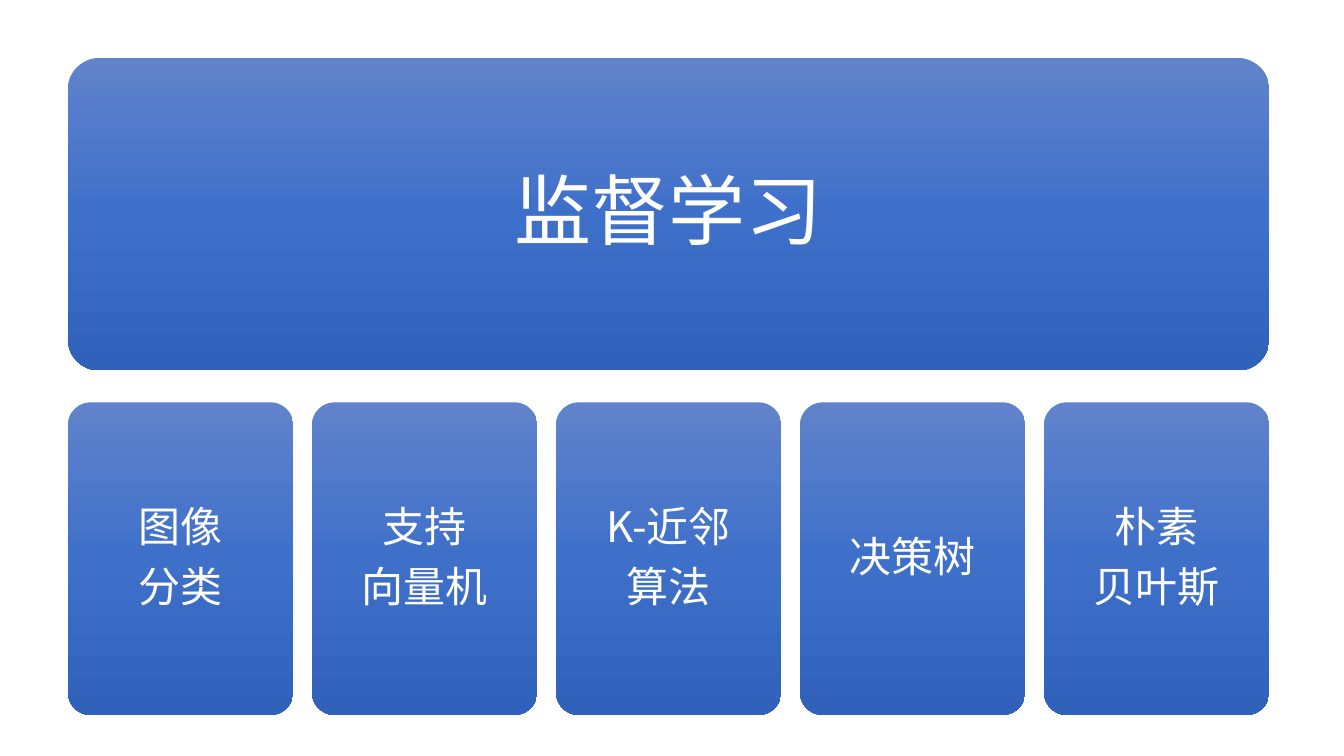
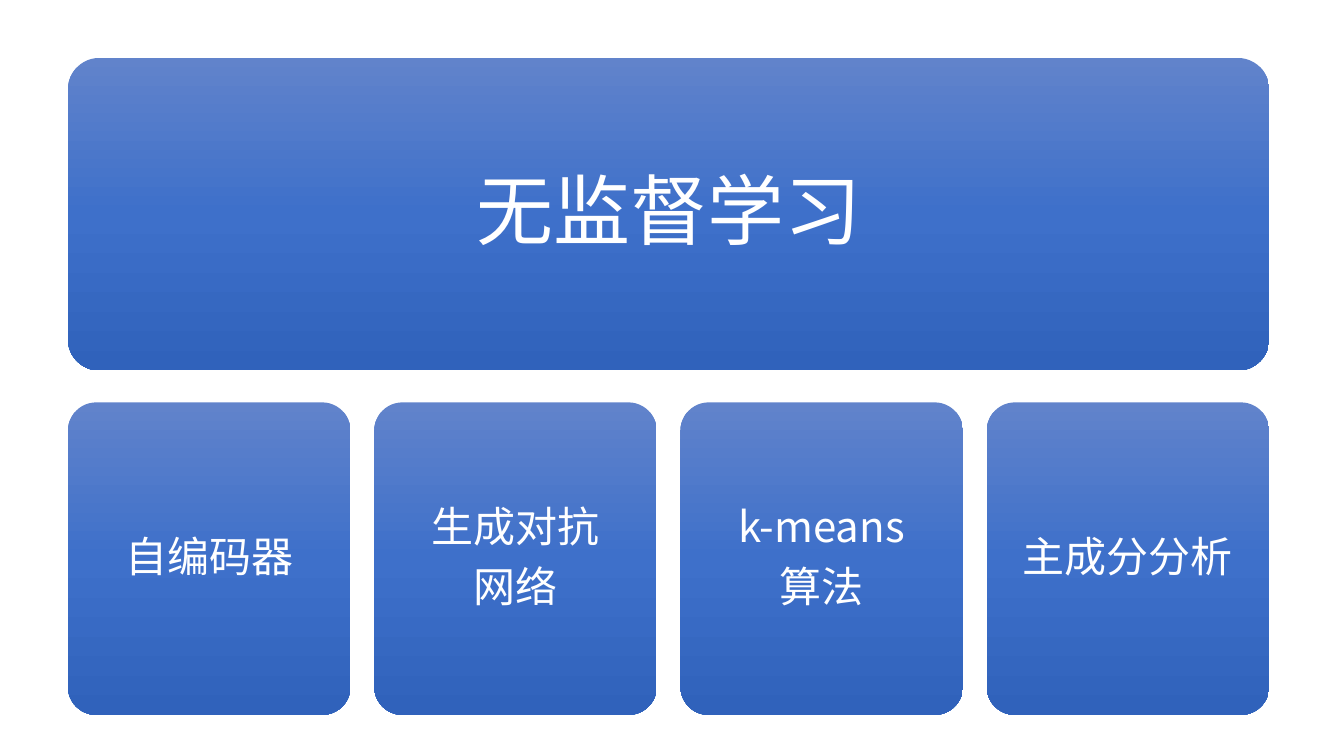
from copy import deepcopy

from lxml import etree
from pptx import Presentation
from pptx.dml.color import RGBColor
from pptx.enum.shapes import MSO_SHAPE
from pptx.enum.text import MSO_ANCHOR, PP_ALIGN
from pptx.oxml.ns import qn
from pptx.util import Inches, Pt

ROUND_RECT = MSO_SHAPE.ROUNDED_RECTANGLE
MIDDLE = MSO_ANCHOR.MIDDLE
CENTER = PP_ALIGN.CENTER

WHITE = RGBColor(0xFF, 0xFF, 0xFF)
GRADIENT = [
    (0, RGBColor(0x61, 0x83, 0xCB)),
    (0.5, RGBColor(0x3E, 0x70, 0xCA)),
    (1, RGBColor(0x30, 0x62, 0xBB)),
]
FONT = "Noto Sans CJK SC"

SLIDE_W, SLIDE_H = 16, 9
LEFT, CONTENT_W = 0.81, 14.3
HEADER_TOP, METHODS_TOP = 0.69, 4.79
CARD_H = 3.72
GAP_SHARE = 0.084
CORNER = 0.1

HEADER = {"size": 66, "inset": 0.28}
METHOD = {"size": 36, "inset": 0.15}

TOPICS = [
    ("监督学习", ["图像\n分类", "支持\n向量机", "K-近邻\n算法", "决策树", "朴素\n贝叶斯"]),
    ("无监督学习", ["自编码器", "生成对抗\n网络", "k-means\n算法", "主成分分析"]),
]


def fill_gradient(s):
    s.fill.gradient()
    s.fill.gradient_angle = 270
    stops = s._element.spPr.find(".//" + qn("a:gsLst"))
    stops.insert(1, deepcopy(stops[0]))
    for stop, (position, color) in zip(s.fill.gradient_stops, GRADIENT):
        stop.position = position
        stop.color.rgb = color


def add_line(p, text, size):
    p.alignment = CENTER
    p.line_spacing = 0.9
    after = etree.SubElement(p._p.get_or_add_pPr(), qn("a:spcAft"))
    etree.SubElement(after, qn("a:spcPct"), val="35000")
    r = p.add_run()
    r.text = text
    r.font.color.rgb = WHITE
    for name, value in {"size": Pt(size), "name": FONT}.items():
        setattr(r.font, name, value)
    etree.SubElement(r._r.get_or_add_rPr(), qn("a:ea"), typeface=FONT)


def add_card(slide, left, top, width, text, style):
    s = slide.shapes.add_shape(
        ROUND_RECT, Inches(left), Inches(top), Inches(width), Inches(CARD_H))
    s.adjustments[0] = CORNER
    s.shadow.inherit = False
    s.line.fill.background()
    fill_gradient(s)
    tf = s.text_frame
    inset = Inches(style["inset"])
    frame = {"word_wrap": True, "vertical_anchor": MIDDLE,
             "margin_left": inset, "margin_right": inset,
             "margin_top": inset, "margin_bottom": inset}
    for name, value in frame.items():
        setattr(tf, name, value)
    for i, line in enumerate(text.split("\n")):
        p = tf.add_paragraph() if i else tf.paragraphs[0]
        add_line(p, line, style["size"])


def add_topic(prs, title, methods):
    slide = prs.slides.add_slide(prs.slide_layouts[6])
    add_card(slide, LEFT, HEADER_TOP, CONTENT_W, title, HEADER)
    n = len(methods)
    col_w = CONTENT_W / (n + GAP_SHARE * (n - 1))
    for i, method in enumerate(methods):
        left = LEFT + i * col_w * (1 + GAP_SHARE)
        add_card(slide, left, METHODS_TOP, col_w, method, METHOD)


def main():
    prs = Presentation()
    prs.slide_width, prs.slide_height = Inches(SLIDE_W), Inches(SLIDE_H)
    for title, methods in TOPICS:
        add_topic(prs, title, methods)
    prs.save("out.pptx")


if __name__ == "__main__":
    main()
